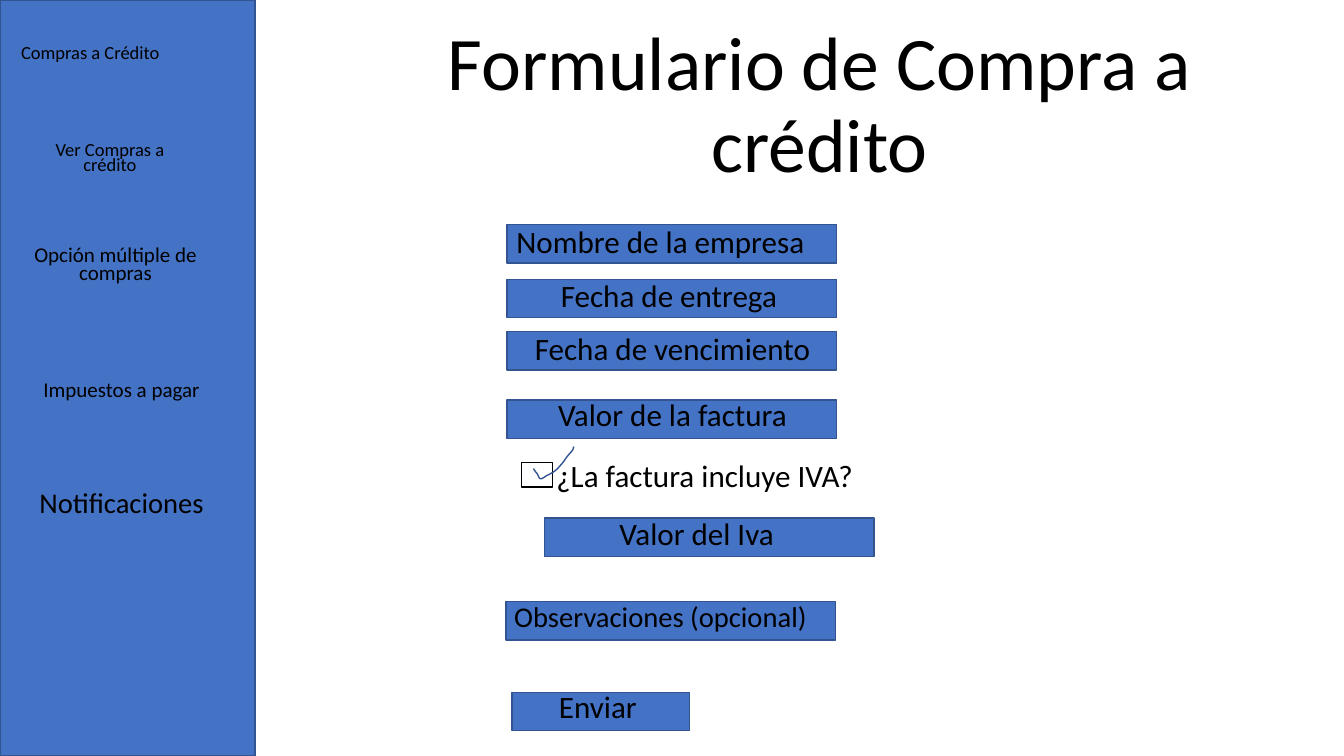
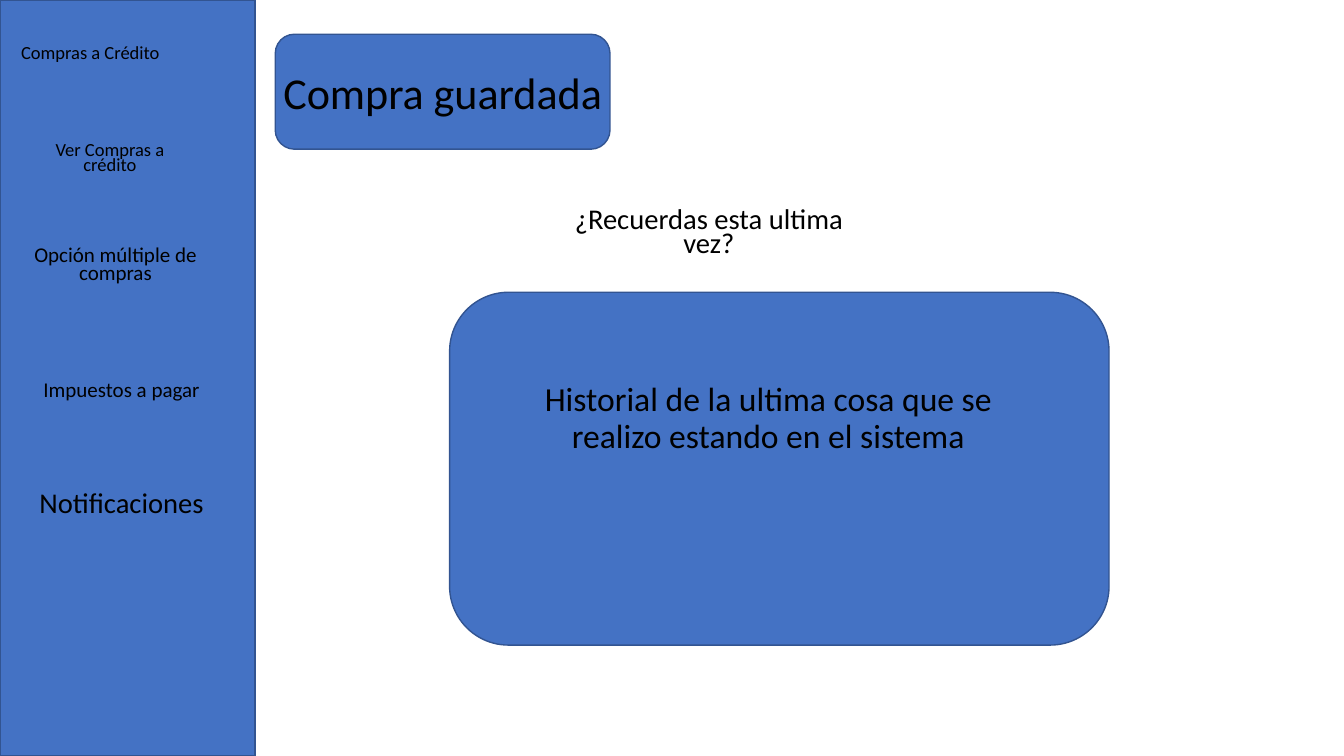
from pptx import Presentation
from pptx.dml.color import RGBColor
from pptx.enum.shapes import MSO_SHAPE
from pptx.enum.text import MSO_ANCHOR, PP_ALIGN
from pptx.util import Inches, Pt

RECTANGLE = MSO_SHAPE.RECTANGLE
ROUNDED = MSO_SHAPE.ROUNDED_RECTANGLE
CENTER = PP_ALIGN.CENTER
TOP, BOTTOM = MSO_ANCHOR.TOP, MSO_ANCHOR.BOTTOM

BLUE = RGBColor(0x44, 0x72, 0xC4)
DARK_BLUE = RGBColor(0x32, 0x54, 0x91)
BLACK = RGBColor(0, 0, 0)
WHITE = RGBColor(0xFF, 0xFF, 0xFF)
FONT = "Calibri"

SLIDE_WIDTH, SLIDE_HEIGHT = 13.33, 7.5
FIELD_WIDTH, FIELD_HEIGHT = 3.27, 0.38
LABEL_WIDTH = 3.18

# Menu entries: text, left, top, width, height, size, line spacing
MENU = [
    ("Compras a Crédito", 0.09, 0.42, 1.61, 0.35, 13.2, 0.7),
    ("Ver Compras a crédito", 0.19, 1.38, 1.8, 0.35, 13.2, 0.7),
    ("Opción múltiple de compras", 0.17, 2.42, 1.95, 0.5, 15, 0.7),
    ("Impuestos a pagar", 0.23, 3.75, 1.95, 0.5, 15, 0.7),
    ("Notificaciones", 0.23, 4.83, 1.95, 0.5, 20.4, 0.8),
]

# Form fields: label, field left, field top, label left, label top, size, spacing
FIELDS = [
    ("Nombre de la empresa", 5.03, 2.23, 4.96, 2.26, 22.2, 0.7),
    ("Fecha de entrega ", 5.03, 2.77, 5.08, 2.79, 22.2, 0.7),
    ("Fecha de vencimiento", 5.03, 3.29, 5.08, 3.32, 22.2, 0.7),
    ("Valor de la factura", 5.03, 3.97, 5.08, 3.97, 22.2, 0.7),
    ("Valor del Iva", 5.4, 5.14, 5.32, 5.16, 22.2, 0.7),
    ("Observaciones (opcional)", 5.02, 5.97, 4.96, 5.96, 20.4, 0.8),
]

# Check mark: start point, then Bézier segments (two controls and an end)
CHECK_START = (5.29, 4.65)
CHECK_CURVES = [
    ((5.3, 4.66), (5.31, 4.68), (5.32, 4.69)),
    ((5.34, 4.71), (5.34, 4.74), (5.36, 4.75)),
    ((5.39, 4.75), (5.41, 4.72), (5.44, 4.71)),
    ((5.52, 4.67), (5.53, 4.65), (5.59, 4.58)),
    ((5.61, 4.55), (5.63, 4.52), (5.66, 4.49)),
    ((5.69, 4.45), (5.68, 4.47), (5.69, 4.43)),
]
CURVE_STEPS = 8


def add_text(page, text, left, top, width, height, *, size, spacing=0.7, anchor=TOP):
    box = page.shapes.add_textbox(*map(Inches, (left, top, width, height)))
    frame = box.text_frame
    frame.word_wrap = True
    frame.vertical_anchor = anchor
    para = frame.paragraphs[0]
    para.alignment = CENTER
    para.line_spacing = spacing
    span = para.add_run()
    span.text = text
    span.font.name = FONT
    span.font.size = Pt(size)
    span.font.color.rgb = BLACK


def set_outline(shape, color):
    shape.line.color.rgb = color
    shape.line.width = Pt(1)
    shape.shadow.inherit = False


def add_panel(page, left, top, width, height, kind=RECTANGLE, fill=BLUE, line=DARK_BLUE):
    panel = page.shapes.add_shape(kind, *map(Inches, (left, top, width, height)))
    panel.fill.solid()
    panel.fill.fore_color.rgb = fill
    set_outline(panel, line)


def curve_points(start, curves):
    """Return points, in slide units, along a chain of cubic Bézier curves."""
    points = [tuple(map(Inches, start))]
    for first, second, end in curves:
        for step in range(1, CURVE_STEPS + 1):
            t = step / CURVE_STEPS
            u = 1 - t
            points.append(tuple(
                Inches(u**3 * a + 3 * u**2 * t * b + 3 * u * t**2 * c + t**3 * d)
                for a, b, c, d in zip(start, first, second, end)))
        start = end
    return points


def add_check_mark(page):
    start, *others = curve_points(CHECK_START, CHECK_CURVES)
    builder = page.shapes.build_freeform(*start)
    builder.add_line_segments(others, close=False)
    mark = builder.convert_to_shape()
    mark.fill.background()
    set_outline(mark, DARK_BLUE)


def add_page(deck):
    """Add a slide with the side menu."""
    page = deck.slides.add_slide(deck.slide_layouts[6])
    add_panel(page, 0, 0, 2.53, SLIDE_HEIGHT)
    for text, left, top, width, height, size, spacing in MENU:
        add_text(page, text, left, top, width, height, size=size, spacing=spacing)
    return page


def build_form(deck):
    page = add_page(deck)
    add_text(page, "Formulario de Compra a crédito", 3.55, 1, 9.16, 0.92,
             size=54, spacing=0.9, anchor=BOTTOM)

    # Fields with their labels
    for label, left, top, label_left, label_top, size, spacing in FIELDS:
        add_panel(page, left, top, FIELD_WIDTH, FIELD_HEIGHT)
        add_text(page, label, label_left, label_top, LABEL_WIDTH, FIELD_HEIGHT,
                 size=size, spacing=spacing)

    # Tax check box
    add_panel(page, 5.17, 4.59, 0.31, 0.24, fill=WHITE, line=BLACK)
    add_text(page, "¿La factura incluye IVA?", 5.4, 4.58, LABEL_WIDTH, FIELD_HEIGHT,
             size=22.2)
    add_check_mark(page)

    # Send button
    add_panel(page, 5.08, 6.87, 1.76, FIELD_HEIGHT)
    add_text(page, "Enviar ", 5.02, 6.87, 1.89, FIELD_HEIGHT, size=22.2)


def build_saved_purchase(deck):
    page = add_page(deck)

    # Heading
    add_panel(page, 2.73, 0.34, 3.32, 1.14, kind=ROUNDED)
    add_text(page, "Compra guardada", 1.98, 0.7, 4.82, 0.51, size=31.5, anchor=BOTTOM)

    # History
    add_text(page, "¿Recuerdas esta ultima vez?", 5.37, 2.04, 3.32, 0.59, size=20.4)
    add_panel(page, 4.46, 2.9, 6.54, 3.5, kind=ROUNDED)
    add_text(page, "Historial de la ultima cosa que se realizo estando en el sistema",
             5.09, 3.75, 5.06, 1.96, size=24, spacing=0.9)


def main():
    deck = Presentation()
    deck.slide_width = Inches(SLIDE_WIDTH)
    deck.slide_height = Inches(SLIDE_HEIGHT)
    build_form(deck)
    build_saved_purchase(deck)
    deck.save("out.pptx")


if __name__ == "__main__":
    main()
